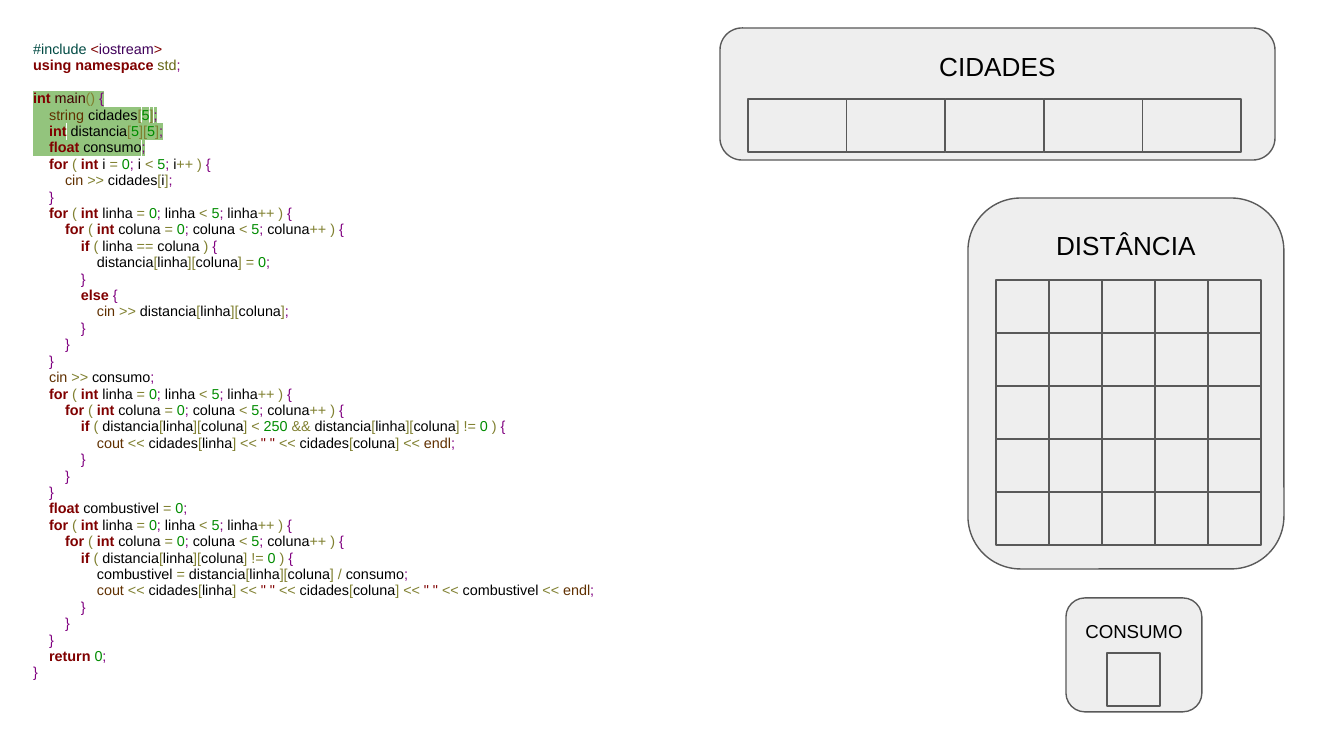
from itertools import groupby

from lxml import etree
from pptx import Presentation, util as u
from pptx.dml.color import RGBColor
from pptx.enum import shapes, text
from pptx.oxml.ns import qn

SCALE = 914400 / 134.4  # EMU per px
FONT = "Arial"
COLORS = {
    "plain": "000000", "keyword": "800000", "library": "603000", "main": "400000",
    "namespace": "666616", "number": "008C00", "operator": "808030",
    "punctuation": "800080", "quote": "800000", "directive": "004A43",
    "header": "40015A", "highlight": "93C47D", "panel": "EEEEEE", "line": "595959",
}
WORDS = {
    **dict.fromkeys("using namespace int float for if else return".split(), "keyword"),
    **dict.fromkeys("string cin cout endl".split(), "library"),
    "main": "main", "std": "namespace",
}
DIRECTIVE = {"#": "directive", "include": "directive", "iostream": "header",
             "<": "quote", ">": "quote"}
INDENT = "    "
LOOPS = [
    (1, "for ( int linha = 0; linha < 5; linha++ ) {"),
    (2, "for ( int coluna = 0; coluna < 5; coluna++ ) {"),
]
LOOPS_END = [(3, "}"), (2, "}"), (1, "}")]
CODE = [  # (indent level, source line)
    (0, "#include <iostream>"),
    (0, "using namespace std;"),
    (0, ""),
    (0, "int main() {"),
    (1, "string cidades[5];"),
    (1, "int distancia[5][5];"),
    (1, "float consumo;"),
    (1, "for ( int i = 0; i < 5; i++ ) {"),
    (2, "cin >> cidades[i];"),
    (1, "}"),
    *LOOPS,
    (3, "if ( linha == coluna ) {"),
    (4, "distancia[linha][coluna] = 0;"),
    (3, "}"),
    (3, "else {"),
    (4, "cin >> distancia[linha][coluna];"),
    *LOOPS_END,
    (1, "cin >> consumo;"),
    *LOOPS,
    (3, "if ( distancia[linha][coluna] < 250 && distancia[linha][coluna] != 0 ) {"),
    (4, 'cout << cidades[linha] << " " << cidades[coluna] << endl;'),
    *LOOPS_END,
    (1, "float combustivel = 0;"),
    *LOOPS,
    (3, "if ( distancia[linha][coluna] != 0 ) {"),
    (4, "combustivel = distancia[linha][coluna] / consumo;"),
    (4, 'cout << cidades[linha] << " " << cidades[coluna] << " " << combustivel << endl;'),
    *LOOPS_END,
    (1, "return 0;"),
    (0, "}"),
]
HIGHLIGHTED = range(3, 7)


def char_kind(ch):
    if ch.isalnum():
        return "word"
    if ch.isspace():
        return "plain"
    if ch in "{};":
        return "punctuation"
    return "quote" if ch == '"' else "operator"


def token_style(token, directive):
    if directive and token in DIRECTIVE:
        return DIRECTIVE[token]
    kind = char_kind(token[0])
    if kind != "word":
        return kind
    return "number" if token.isdigit() else WORDS.get(token, "plain")


def styled_parts(line):
    """Yield (style, text) with neighbours of one style joined."""
    directive = line.startswith("#")
    tokens = ["".join(chars) for _, chars in groupby(line, char_kind)]
    for style, group in groupby(tokens, lambda t: token_style(t, directive)):
        yield style, "".join(group)


class Slide:
    def __init__(self, prs):
        self.s = prs.slides.add_slide(prs.slide_layouts[6])

    @staticmethod
    def box(*lengths):
        return [u.Emu(round(n * SCALE)) for n in lengths]

    @staticmethod
    def rgb(name):
        return RGBColor.from_string(COLORS[name])

    def style_run(self, r, size, color, bold=False):
        r.font.size, r.font.bold = u.Pt(size), bold
        r.font.color.rgb = self.rgb(color)
        r.font.name = FONT

    def highlight(self, r):
        mark = etree.Element(qn("a:highlight"))
        etree.SubElement(mark, qn("a:srgbClr"), val=COLORS["highlight"])
        r._r.find(qn("a:rPr")).find(qn("a:solidFill")).addnext(mark)

    def code(self, left, top, width, height, source, marked, size=7.7):
        """Coloured listing; an empty source line becomes space before the next."""
        tf = self.s.shapes.add_textbox(*self.box(left, top, width, height)).text_frame
        tf.word_wrap = True
        tf.margin_left = tf.margin_right = tf.margin_top = tf.margin_bottom = u.Inches(0.1)
        p, gap = tf.paragraphs[0], 0
        for number, (level, line) in enumerate(source):
            if not line:
                gap = 8.8
                continue
            if number:
                p = tf.add_paragraph()
            p.alignment, p.line_spacing = text.PP_ALIGN.JUSTIFY, 0.95
            p.space_before, gap = u.Pt(gap), 0
            for style, part in styled_parts(INDENT * level + line):
                r = p.add_run()
                r.text = part
                self.style_run(r, size, style, style == "keyword")
                if number in marked:
                    self.highlight(r)

    def shape(self, kind, *lengths):
        sp = self.s.shapes.add_shape(kind, *self.box(*lengths))
        sp.shadow.inherit = False
        sp.fill.background()
        sp.line.color.rgb = self.rgb("line")
        sp.line.width = u.Pt(0.75)
        return sp

    def panel(self, title, size, *lengths):
        sp = self.shape(shapes.MSO_SHAPE.ROUNDED_RECTANGLE, *lengths)
        sp.fill.solid()
        sp.fill.fore_color.rgb = self.rgb("panel")
        tf = sp.text_frame
        tf.text = title
        tf.vertical_anchor = text.MSO_ANCHOR.TOP
        tf.margin_left = tf.margin_right = tf.margin_bottom = 0
        tf.margin_top = u.Inches(0.12)
        p = tf.paragraphs[0]
        p.alignment = text.PP_ALIGN.CENTER
        self.style_run(p.runs[0], size, "plain")

    def cells(self, left, top, width, height, cols=1, rows=1):
        w, h = width / cols, height / rows
        for row in range(rows):
            for col in range(cols):
                self.shape(shapes.MSO_SHAPE.RECTANGLE, left + col * w, top + row * h, w, h)


def main():
    prs = Presentation()
    prs.slide_width, prs.slide_height = Slide.box(1344, 756)
    s = Slide(prs)
    s.code(20, 28, 612, 671, CODE, HIGHLIGHTED)
    s.panel("CONSUMO", 10, 1066, 598, 136, 114)
    s.cells(1107, 653, 53, 53)
    s.panel("CIDADES", 14, 720, 28, 555, 132)
    s.cells(748, 99, 493, 53, cols=5)
    s.panel("DISTÂNCIA", 14, 968, 198, 316, 371)
    s.cells(996, 280, 265, 265, cols=5, rows=5)
    prs.save("out.pptx")


if __name__ == "__main__":
    main()
